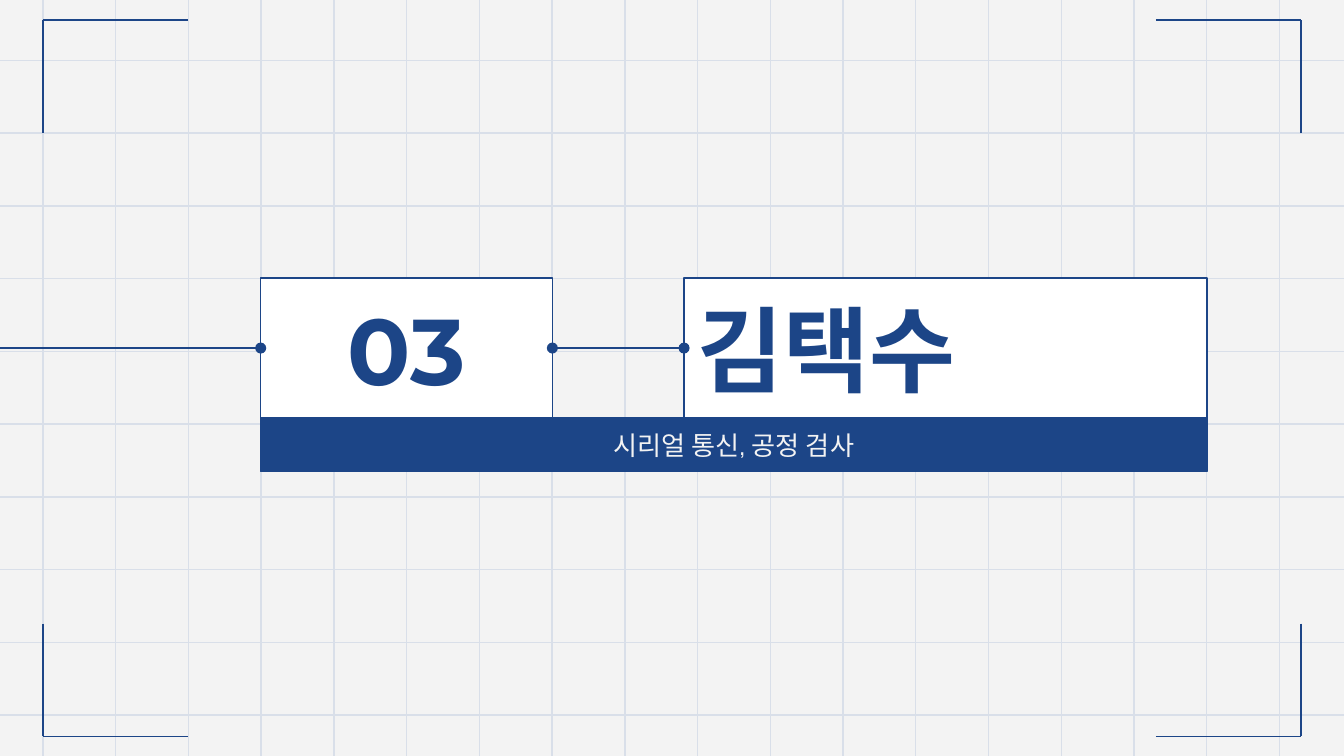
from lxml import etree
from pptx import Presentation
from pptx import util as u
from pptx.dml.color import RGBColor
from pptx.enum import shapes, text
from pptx.oxml.ns import qn

NAVY = RGBColor(0x1C, 0x45, 0x87)
GRID = RGBColor(0xD9, 0xDF, 0xE9)
PAPER = RGBColor(0xF3, 0xF3, 0xF3)
WHITE = RGBColor(0xFF, 0xFF, 0xFF)
WIDTH = 10
HEIGHT = WIDTH * 9 / 16
GRID_STEP = 9.2 / 17

presentation = Presentation()
presentation.slide_width = u.Inches(WIDTH)
presentation.slide_height = u.Inches(HEIGHT)
slide = presentation.slides.add_slide(presentation.slide_layouts[6])
slide.background.fill.solid()
slide.background.fill.fore_color.rgb = PAPER


def add_line(x1, y1, x2, y2, color, ovals=False):
    line = slide.shapes.add_connector(
        shapes.MSO_CONNECTOR.STRAIGHT,
        u.Inches(x1), u.Inches(y1), u.Inches(x2), u.Inches(y2))
    line.line.color.rgb = color
    line.line.width = u.Pt(0.75)
    if ovals:
        outline = line.line._get_or_add_ln()
        for end in ("a:headEnd", "a:tailEnd"):
            etree.SubElement(outline, qn(end), type="oval", w="med", len="med")
    etree.SubElement(line._element.spPr, qn("a:effectLst"))
    return line


def add_box(left, top, width, height, fill, words, align, color, font_values):
    shape = slide.shapes.add_shape(
        shapes.MSO_SHAPE.RECTANGLE,
        u.Inches(left), u.Inches(top), u.Inches(width), u.Inches(height))
    shape.shadow.inherit = False
    shape.fill.solid()
    shape.fill.fore_color.rgb = fill
    shape.line.color.rgb = NAVY
    shape.line.width = u.Pt(0.75)
    frame_values = {"word_wrap": True, "vertical_anchor": text.MSO_ANCHOR.MIDDLE}
    for side in ("left", "top", "right", "bottom"):
        frame_values[f"margin_{side}"] = u.Inches(0.1)
    for name, value in frame_values.items():
        setattr(shape.text_frame, name, value)
    paragraph = shape.text_frame.paragraphs[0]
    paragraph.alignment = align
    run = paragraph.add_run()
    run.text = words
    run.font.color.rgb = color
    for name, value in font_values.items():
        setattr(run.font, name, value)
    return shape


for row in range(10):
    y = 0.45 + row * GRID_STEP
    add_line(0, y, WIDTH, y, GRID)
for column in range(18):
    x = 0.32 + column * GRID_STEP
    add_line(x, HEIGHT, x, 0, GRID)

for corner_x, inner_x in ((0.32, 1.4), (9.68, 8.6)):
    for corner_y, inner_y in ((0.15, 0.99), (5.48, 4.64)):
        add_line(corner_x, inner_y, corner_x, corner_y, NAVY)
        add_line(inner_x, corner_y, corner_x, corner_y, NAVY)

title_font = {"name": "Montserrat", "size": u.Pt(50), "bold": True}
subtitle_font = {"name": "Manrope", "size": u.Pt(14), "bold": False}
name_box = add_box(5.09, 2.07, 3.89, 1.04, WHITE, "김택수",
                   text.PP_ALIGN.LEFT, NAVY, title_font)
number_box = add_box(1.94, 2.07, 2.17, 1.04, WHITE, "03",
                     text.PP_ALIGN.CENTER, NAVY, title_font)
add_box(1.94, 3.11, 7.04, 0.4, NAVY, "시리얼 통신, 공정 검사",
        text.PP_ALIGN.CENTER, PAPER, subtitle_font)

link = add_line(4.11, 2.59, 5.09, 2.59, NAVY, ovals=True)
link.begin_connect(number_box, 3)
link.end_connect(name_box, 1)
lead_in = add_line(-0.45, 2.59, 1.94, 2.59, NAVY, ovals=True)
lead_in.end_connect(number_box, 1)

presentation.save("out.pptx")
